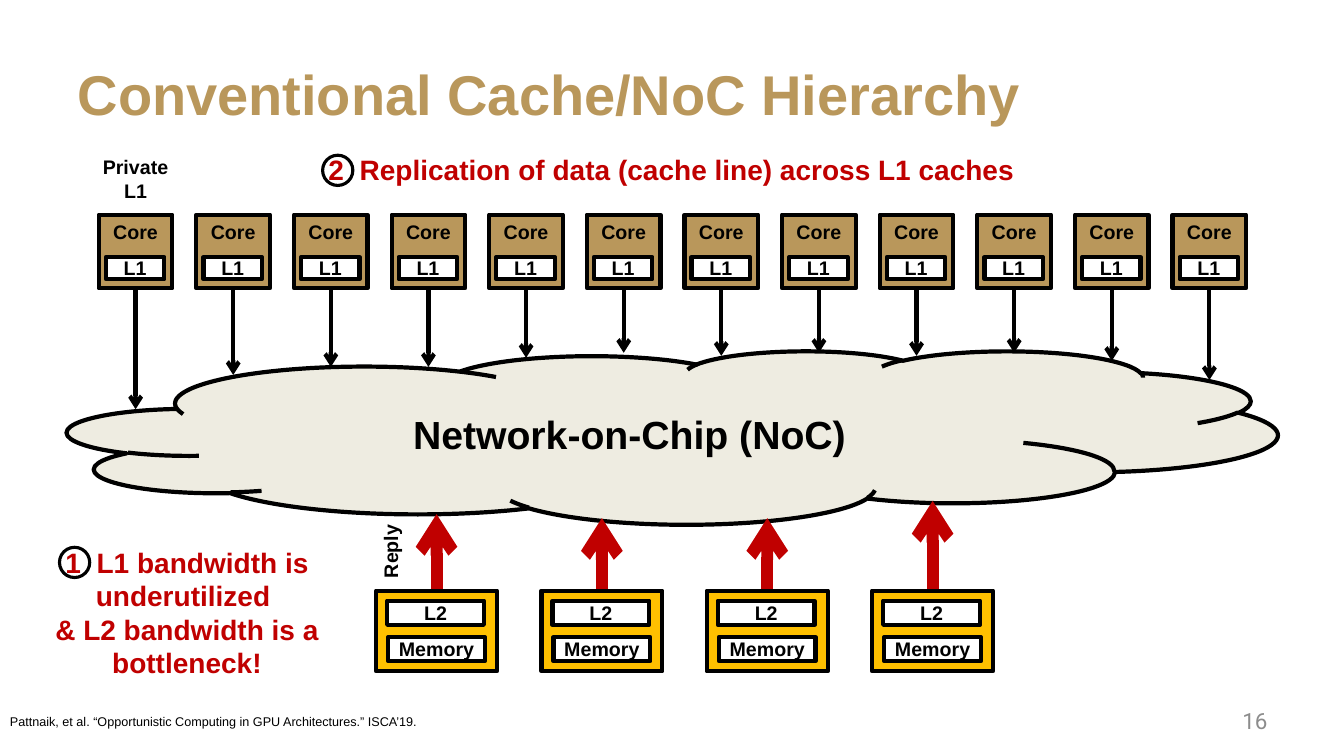
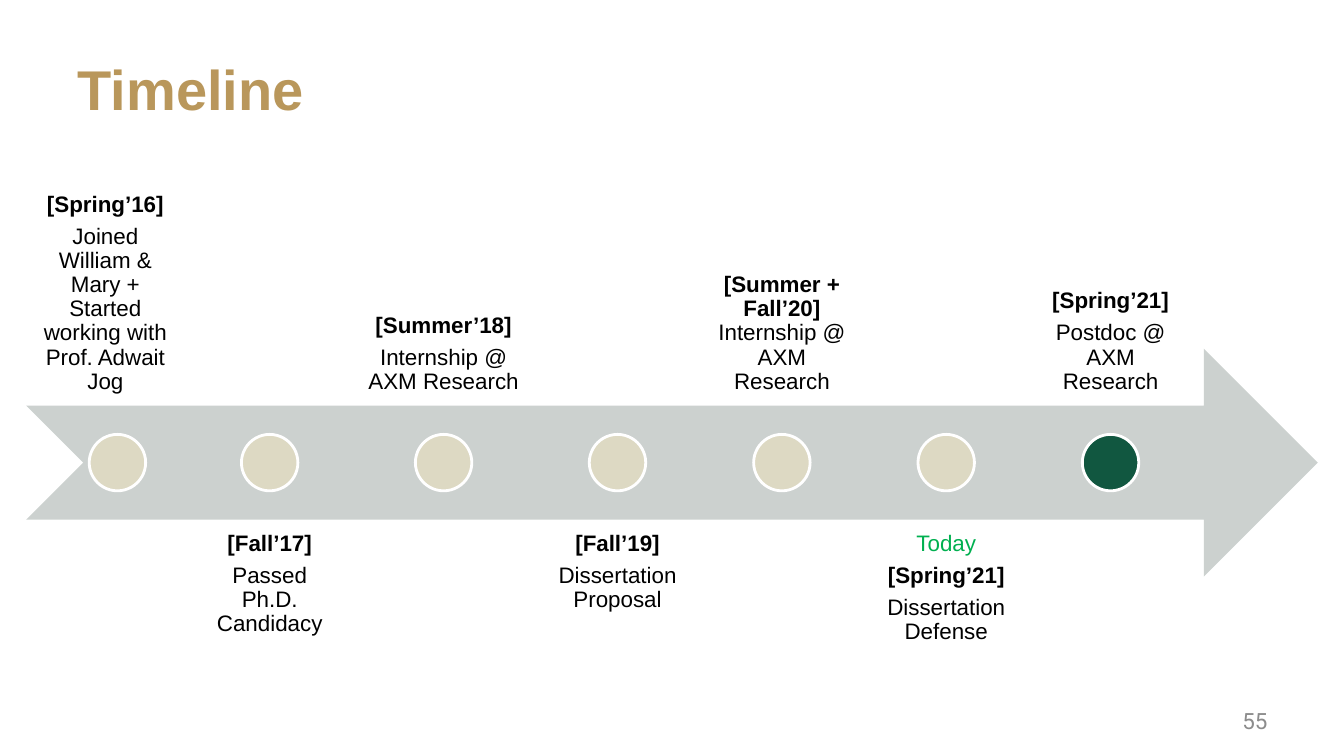
from dataclasses import dataclass, field
from itertools import cycle

from lxml import etree
from pptx import Presentation
from pptx.dml.color import RGBColor
from pptx.enum import shapes as es, text as et
from pptx.oxml import ns
from pptx.util import Inches, Pt

GOLD = RGBColor(0xB9, 0x97, 0x5B)
BLACK = RGBColor(0, 0, 0)
WHITE = RGBColor(0xFF, 0xFF, 0xFF)
GREY = RGBColor(0x8C, 0x8C, 0x8C)
RED = RGBColor(0xC0, 0, 0)
AMBER = RGBColor(0xFF, 0xC0, 0)
CLOUD = RGBColor(0xEE, 0xEC, 0xE1)
BAND = RGBColor(0xCC, 0xD1, 0xCF)
SAND = RGBColor(0xDD, 0xD9, 0xC3)
PINE = RGBColor(0x11, 0x57, 0x40)
GREEN = RGBColor(0, 0xB0, 0x50)

FORM = es.MSO_SHAPE
MID, TOP, LOW = et.MSO_ANCHOR.MIDDLE, et.MSO_ANCHOR.TOP, et.MSO_ANCHOR.BOTTOM
LEFT, MEAN, RIGHT = et.PP_ALIGN.LEFT, et.PP_ALIGN.CENTER, et.PP_ALIGN.RIGHT


@dataclass(frozen=True)
class Run:
    text: str
    bold: bool = True
    color: RGBColor = BLACK
    track: float = 0  # extra letter spacing, points


Para = list[Run]


@dataclass(frozen=True)
class Style:
    size: float = 14
    font: str = "Arial"
    align: et.PP_ALIGN = MEAN
    anchor: et.MSO_ANCHOR = MID
    pads: tuple[float, float] = (0.1, 0.05)  # side, top and bottom
    lead: float | None = None
    after: float | None = None


@dataclass(frozen=True)
class Area:
    x: float
    y: float
    w: float
    h: float

    def emu(self) -> list[Inches]:
        return [Inches(v) for v in (self.x, self.y, self.w, self.h)]


@dataclass(frozen=True)
class Event:
    paras: list[Para]
    wide: float = 1.55
    shift: float = 0
    fill: RGBColor = field(default=SAND)


HEAD = Style(40, align=LEFT)
PAGE = Style(16, "Roboto", RIGHT)
TAG = Style(pads=(0, 0))
CORE = Style(anchor=TOP, pads=(0, 0.05))
CALL = Style(20)
CITE = Style(9, align=LEFT, anchor=TOP)


def write(frame, paras: list[Para], style: Style) -> None:
    frame.word_wrap = True
    frame.auto_size = et.MSO_AUTO_SIZE.NONE
    frame.vertical_anchor = style.anchor
    side, edge = (Inches(p) for p in style.pads)
    frame.margin_left = frame.margin_right = side
    frame.margin_top = frame.margin_bottom = edge
    for i, runs in enumerate(paras):
        para = frame.add_paragraph() if i else frame.paragraphs[0]
        para.alignment = style.align
        if style.lead:
            para.line_spacing = style.lead
        if style.after:
            para.space_after = Pt(style.after)
        for item in runs:
            run = para.add_run()
            run.text = item.text
            font = run.font
            font.size, font.name, font.bold = Pt(style.size), style.font, item.bold
            font.color.rgb = item.color
            if item.track:
                font._element.set("spc", str(round(item.track * 100)))


def label(slide, area: Area, paras: list[Para], style: Style):
    box = slide.shapes.add_textbox(*area.emu())
    write(box.text_frame, paras, style)
    return box


def draw(slide, form: FORM, area: Area, fill: RGBColor | None,
         line: RGBColor | None = BLACK, width: float = 3,
         paras: list[Para] | None = None, style: Style = TAG):
    shape = slide.shapes.add_shape(form, *area.emu())
    shape.shadow.inherit = False
    if fill is None:
        shape.fill.background()
    else:
        shape.fill.solid()
        shape.fill.fore_color.rgb = fill
    if line is None:
        shape.line.fill.background()
    else:
        shape.line.color.rgb = line
        shape.line.width = Pt(width)
    if paras:
        write(shape.text_frame, paras, style)
    return shape


def arrow(slide, x: float, start: float, end: float, color: RGBColor, width: float):
    """Draw a vertical arrow that points at its end."""
    link = slide.shapes.add_connector(
        es.MSO_CONNECTOR.STRAIGHT, *map(Inches, (x, start, x, end)))
    link.line.color.rgb = color
    link.line.width = Pt(width)
    etree.SubElement(link.line._get_or_add_ln(), ns.qn("a:tailEnd"), type="arrow")
    etree.SubElement(link._element.spPr, ns.qn("a:effectLst"))
    return link


def start(deck, name: str, top: float, page: int):
    """Add a slide with the shared title and page number."""
    slide = deck.slides.add_slide(deck.slide_layouts[5])
    title = slide.shapes.title
    title.left, title.top, title.width, title.height = Area(0.67, top, 12, 1.25).emu()
    write(title.text_frame, [[Run(name, color=GOLD)]], HEAD)
    label(slide, Area(9.56, 6.95, 3.11, 0.4), [[Run(str(page), False, GREY)]], PAGE)
    return slide


def cores(slide) -> None:
    ends = (4.06, 3.72, 3.64, 3.64, 3.55, 3.5, 3.53, 3.5, 3.53, 3.5, 3.58, 3.77)
    first, last, y, size = 0.98, 11.63, 2.13, 0.73
    step = (last - first) / (len(ends) - 1)
    for i, end in enumerate(ends):
        x = first + i * step
        link = arrow(slide, x + size / 2, y + size, end, BLACK, 3)
        core = draw(slide, FORM.RECTANGLE, Area(x, y, size, size), GOLD,
                    paras=[[Run("Core")]], style=CORE)
        link.begin_connect(core, 2)
        draw(slide, FORM.RECTANGLE, Area(x + 0.07, 2.55, 0.58, 0.22), WHITE,
             paras=[[Run("L1")]])


def banks(slide) -> None:
    y, wide = 5.86, 1.2
    for i, end in enumerate((5.1, 5.14, 5.14, 4.97)):
        x = 3.73 + i * 1.64
        link = arrow(slide, x + wide / 2, y, end, RED, 8.5)
        bank = draw(slide, FORM.RECTANGLE, Area(x, y, wide, 0.8), AMBER)
        link.begin_connect(bank, 0)
        for j, name in enumerate(("L2", "Memory")):
            area = Area(x + 0.11 + j * 0.01, y + 0.1 + j * 0.36, 0.96, 0.24)
            draw(slide, FORM.RECTANGLE, area, WHITE, paras=[[Run(name)]])


def point(digit: str, words: str) -> Para:
    """Return a numbered line with a wide gap after its number."""
    return [Run(digit, color=RED), Run(" ", color=RED, track=5.6),
            Run(words, color=RED)]


def caches(deck) -> None:
    slide = start(deck, "Conventional Cache/NoC Hierarchy", 0.3, 16)
    draw(slide, FORM.CLOUD, Area(0.67, 3.48, 12, 1.72), CLOUD,
         paras=[[Run("Network-on-Chip (NoC)")]], style=Style(28))
    cores(slide)
    banks(slide)
    reply = label(slide, Area(3.65, 5, 0.44, 0.94), [[Run("Reply")]], Style())
    reply.text_frame._txBody.bodyPr.set("vert", "vert270")
    draw(slide, FORM.ROUNDED_RECTANGLE, Area(0.08, 5.37, 3.55, 1.41), WHITE, WHITE, 2,
         [point("1", "L1 bandwidth is underutilized "),
          [Run("& L2 bandwidth is a bottleneck!", color=RED)]], CALL)
    label(slide, Area(2.69, 1.46, 7.94, 0.44),
          [point("2", "Replication of data (cache line) across L1 caches")], CALL)
    label(slide, Area(0.76, 1.49, 1.17, 0.57), [[Run("Private")], [Run("L1")]], Style())
    cite = "Pattnaik, et al. “Opportunistic Computing in GPU Architectures.” ISCA’19."
    label(slide, Area(0, 7.03, 8.49, 0.25), [[Run(cite, False)]], CITE)
    for x, y in ((0.59, 5.43), (3.2, 1.54)):
        draw(slide, FORM.OVAL, Area(x, y, 0.3, 0.3), None, width=2.25)


def dated(date: str, words: str) -> list[Para]:
    return [[Run(date)], [Run(words, False)]]


EVENTS = [
    Event(dated("[Spring’16]", "Joined William & Mary + Started working with "
                "Prof. Adwait Jog"), shift=0.12),
    Event(dated("[Fall’17]", "Passed Ph.D. Candidacy")),
    Event(dated("[Summer’18]", "Internship @ AXM Research"), wide=1.74),
    Event(dated("[Fall’19]", "Dissertation Proposal")),
    Event([[Run("[Summer + Fall’20] "), Run("Internship @ AXM Research", False)]]),
    Event([[Run("Today", False, GREEN)],
           *dated("[Spring’21]", "Dissertation Defense")]),
    Event(dated("[Spring’21]", "Postdoc @ AXM Research"), fill=PINE),
]


def history(deck) -> None:
    slide = start(deck, "Timeline", 0.25, 55)
    draw(slide, FORM.NOTCHED_RIGHT_ARROW, Area(0.26, 3.46, 12.81, 2.26), BAND, None)
    x, gap, dot = 0.27, 0.08, 0.56
    sides = cycle(((1.77, LOW), (5.16, TOP)))
    for event, (y, anchor) in zip(EVENTS, sides):
        style = Style(16, anchor=anchor, pads=(0.12, 0.12), lead=0.9, after=5.6)
        label(slide, Area(x, y, event.wide, 2.26), event.paras, style)
        left = x + (event.wide - dot) / 2 + event.shift
        draw(slide, FORM.OVAL, Area(left, 4.31, dot, dot), event.fill, WHITE, 2)
        x += event.wide + gap


def main() -> None:
    deck = Presentation()
    deck.slide_width, deck.slide_height = Inches(13.33), Inches(7.5)
    caches(deck)
    history(deck)
    deck.save("out.pptx")


if __name__ == "__main__":
    main()
